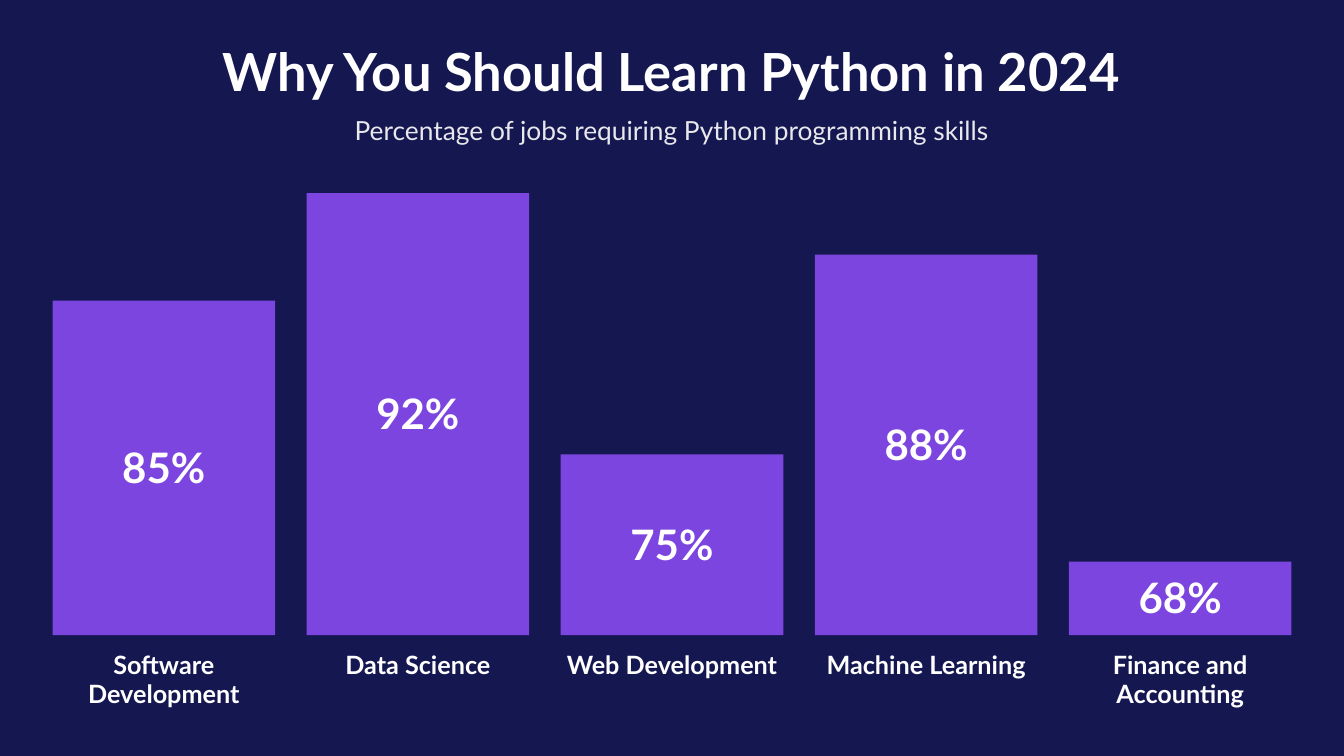
from lxml import etree
from pptx import Presentation
from pptx import util as u
from pptx.dml.color import RGBColor
from pptx.enum import shapes, text
from pptx.oxml.ns import qn

PX = 9525  # EMU per px, 96 px to the inch
FONT = "Lato"
COLORS = {"background": "151750", "bar": "7C45DF", "text": "FFFFFF"}

SLIDE_WIDTH, SLIDE_HEIGHT = 1280, 720
BAR_LEFT, BAR_WIDTH, BAR_PITCH, BASELINE = 50, 212, 242, 605
LABEL_TOP, LABEL_WIDTH, LABEL_HEIGHT = 620, 233, 54

# The lowest and highest share fix the scale of the bars
LOW_SHARE, HIGH_SHARE = 68, 92
LOW_HEIGHT, HIGH_HEIGHT = 70, 421

JOBS = [
    ("Software Development", 85),
    ("Data Science", 92),
    ("Web Development", 75),
    ("Machine Learning", 88),
    ("Finance and Accounting", 68),
]


def px(*lengths):
    return [u.Emu(round(length * PX)) for length in lengths]


def color(name):
    return RGBColor.from_string(COLORS[name])


def write(shape, words, size, line_height, bold=True,
          anchor=text.MSO_ANCHOR.TOP):
    """Put one centred paragraph in a shape and return its run."""
    frame = shape.text_frame
    frame.text = words
    frame.word_wrap = True
    frame.auto_size = text.MSO_AUTO_SIZE.NONE
    frame.vertical_anchor = anchor
    frame.margin_left = frame.margin_right = 0
    frame.margin_top = frame.margin_bottom = 0

    paragraph = frame.paragraphs[0]
    paragraph.alignment = text.PP_ALIGN.CENTER
    paragraph.line_spacing = u.Pt(line_height)
    paragraph.space_before = u.Pt(0)

    run = paragraph.runs[0]
    run.font.name = FONT
    run.font.size = u.Pt(size)
    run.font.bold = bold
    run.font.color.rgb = color("text")
    return run


def set_opacity(run, percent):
    fill_color = run.font.fill._xPr.find(qn("a:solidFill"))[0]
    alpha = etree.SubElement(fill_color, qn("a:alpha"))
    alpha.set("val", str(percent * 1000))


def add_heading(slide):
    title = slide.shapes.title
    title.left, title.top, title.width, title.height = px(0, 40, SLIDE_WIDTH, 57)
    write(title, "Why You Should Learn Python in 2024", 37.5, 42.6)

    subtitle = slide.shapes.add_textbox(*px(0, 110, SLIDE_WIDTH, 29))
    run = write(subtitle, "Percentage of jobs requiring Python programming skills",
                18.8, 21.3, bold=False)
    set_opacity(run, 90)


def bar_height(share):
    px_per_point = (HIGH_HEIGHT - LOW_HEIGHT) / (HIGH_SHARE - LOW_SHARE)
    return LOW_HEIGHT + (share - LOW_SHARE) * px_per_point


def add_bar(slide, left, share):
    height = bar_height(share)
    bar = slide.shapes.add_shape(
        shapes.MSO_SHAPE.RECTANGLE,
        *px(left, BASELINE - height, BAR_WIDTH, height))
    bar.shadow.inherit = False
    bar.fill.solid()
    bar.fill.fore_color.rgb = color("bar")
    bar.line.fill.background()
    write(bar, f"{share}%", 30, 34.1, anchor=text.MSO_ANCHOR.MIDDLE)


def add_label(slide, center, words):
    label = slide.shapes.add_textbox(
        *px(center - LABEL_WIDTH / 2, LABEL_TOP, LABEL_WIDTH, LABEL_HEIGHT))
    write(label, words, 18, 20.4)


def main():
    presentation = Presentation()
    presentation.slide_width, presentation.slide_height = px(
        SLIDE_WIDTH, SLIDE_HEIGHT)
    slide = presentation.slides.add_slide(presentation.slide_layouts[5])
    slide.background.fill.solid()
    slide.background.fill.fore_color.rgb = color("background")

    add_heading(slide)

    # One bar and one label for each field of work
    for index, (field, share) in enumerate(JOBS):
        left = BAR_LEFT + index * BAR_PITCH
        add_bar(slide, left, share)
        add_label(slide, left + BAR_WIDTH / 2, field)

    presentation.save("out.pptx")


if __name__ == "__main__":
    main()
